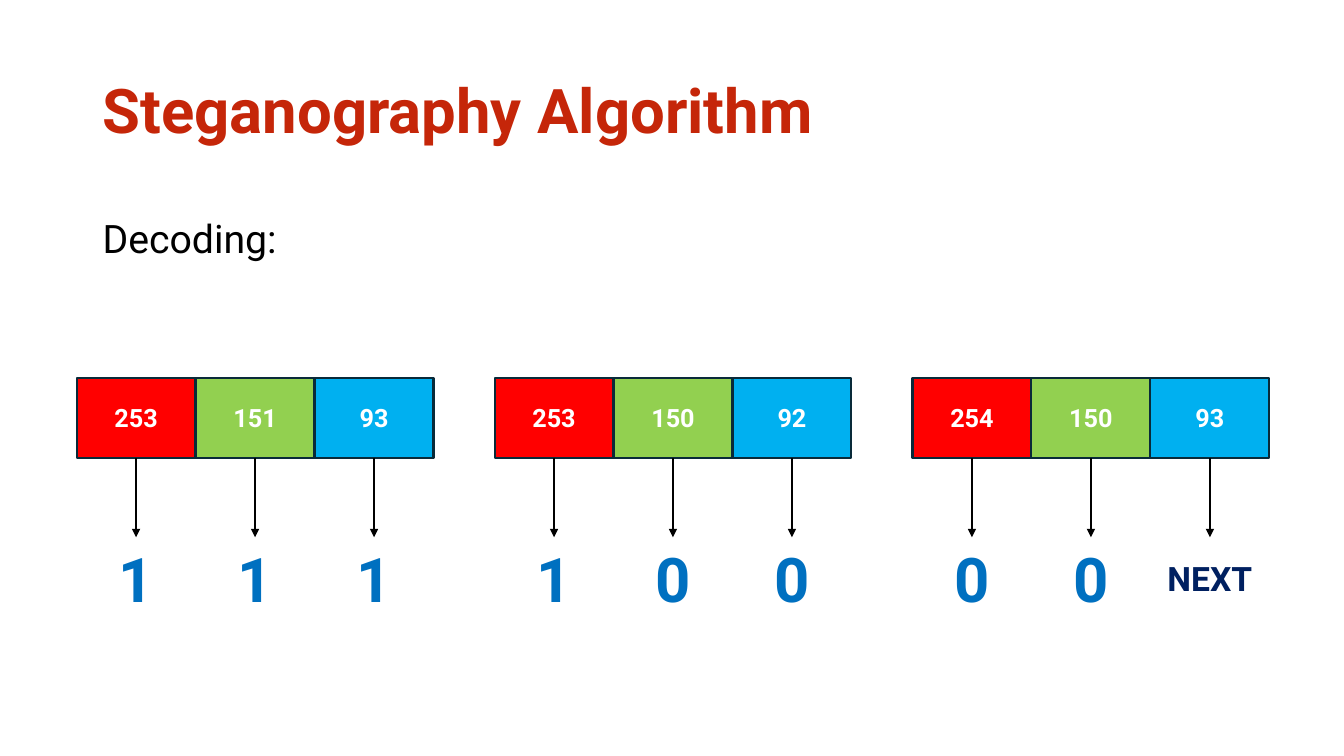
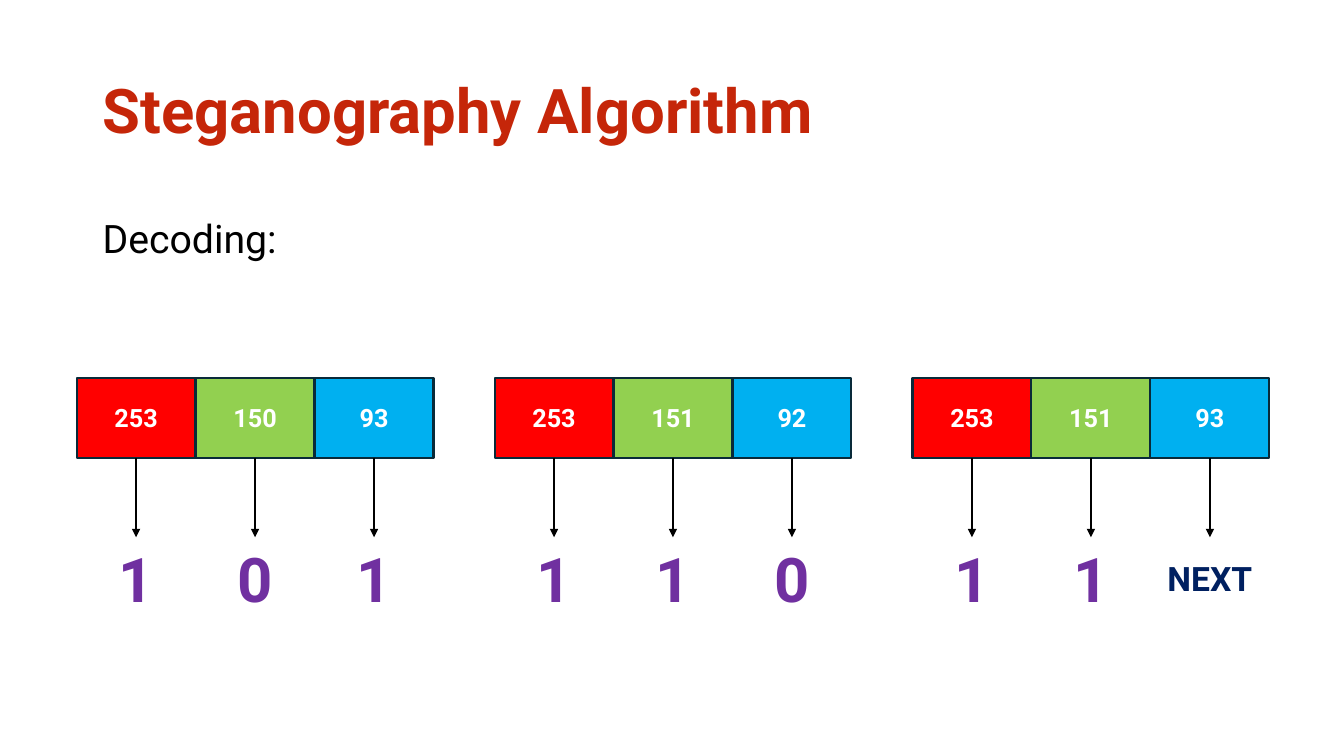
from lxml import etree
from pptx import Presentation
from pptx import util as u
from pptx.dml.color import RGBColor
from pptx.enum import shapes, text
from pptx.oxml.ns import qn

FONT = "Roboto"
COLORS = {
    "title": "C52609", "body": "000000", "arrow": "000000",
    "outline": "092A39", "value": "FFFFFF", "next": "002060",
    "blue": "0070C0", "purple": "7030A0",
}
CHANNELS = ("FF0000", "92D050", "00B0F0")

CELL_W, CELL_H = 1.18, 0.79
CELL_TOP = 3.75
CELL_BOTTOM = CELL_TOP + CELL_H
FIRST_LEFT, LAST_LEFT = 0.76, 9.05
ARROW_LEN = 0.79

# Bit colour and the RGB pixels of each slide
SLIDES = [
    ("blue", [(253, 151, 93), (253, 150, 92), (254, 150, 93)]),
    ("purple", [(253, 150, 93), (253, 151, 92), (253, 151, 93)]),
]


def rgb(name):
    return RGBColor.from_string(COLORS.get(name, name))


def write(sp, content, size, color, bold=True, align=text.PP_ALIGN.CENTER):
    """Fill a shape with one styled paragraph and return the paragraph."""
    p = sp.text_frame.paragraphs[0]
    p.text = content
    p.alignment = align
    p.font.name = FONT
    p.font.size = u.Pt(size)
    p.font.bold = bold
    p.font.color.rgb = rgb(color)
    return p


def add_heading(s, content, box, size, color, bold):
    sp = s.shapes.add_textbox(*map(u.Inches, box))
    tf = sp.text_frame
    tf.word_wrap = True
    tf.vertical_anchor = text.MSO_ANCHOR.MIDDLE
    p = write(sp, content, size, color, bold, text.PP_ALIGN.LEFT)
    p.line_spacing = 0.9


def add_cell(group, left, value, fill):
    sp = group.shapes.add_shape(
        shapes.MSO_SHAPE.RECTANGLE, u.Inches(left), u.Inches(CELL_TOP),
        u.Inches(CELL_W), u.Inches(CELL_H))
    sp.shadow.inherit = False
    sp.fill.solid()
    sp.fill.fore_color.rgb = rgb(fill)
    sp.line.color.rgb = rgb("outline")
    sp.line.width = u.Pt(1.5)
    sp.text_frame.vertical_anchor = text.MSO_ANCHOR.MIDDLE
    write(sp, str(value), 18, "value")


def add_down_arrow(s, x):
    line = s.shapes.add_connector(
        shapes.MSO_CONNECTOR.STRAIGHT, u.Inches(x), u.Inches(CELL_BOTTOM),
        u.Inches(x), u.Inches(CELL_BOTTOM + ARROW_LEN))
    line.line.color.rgb = rgb("arrow")
    line.line.width = u.Pt(1.5)
    etree.SubElement(line.line._get_or_add_ln(), qn("a:tailEnd"), type="triangle")
    etree.SubElement(line._element.spPr, qn("a:effectLst"))


def add_label(s, content, x, top, width, height, size, color):
    """Add a one-line label centred on x."""
    sp = s.shapes.add_textbox(u.Inches(x - width / 2), u.Inches(top),
                              u.Inches(width), u.Inches(height))
    sp.text_frame.word_wrap = False
    sp.text_frame.auto_size = text.MSO_AUTO_SIZE.SHAPE_TO_FIT_TEXT
    write(sp, content, size, color)


def add_pixels(s, pixels, bit_color):
    """Draw the pixels and, below each channel, its lowest bit."""
    step = (LAST_LEFT - FIRST_LEFT) / (len(pixels) - 1)
    channels = []
    for i, pixel in enumerate(pixels):
        group = s.shapes.add_group_shape()
        for j, (value, fill) in enumerate(zip(pixel, CHANNELS)):
            left = FIRST_LEFT + i * step + j * CELL_W
            add_cell(group, left, value, fill)
            channels.append((left + CELL_W / 2, value))

    for x, _ in channels:
        add_down_arrow(s, x)
    for x, value in channels[:-1]:
        add_label(s, str(value % 2), x, 5.32, 0.68, 0.84, 44, bit_color)
    add_label(s, "NEXT", channels[-1][0], 5.49, 1.04, 0.5, 24, "next")


def main():
    prs = Presentation()
    prs.slide_width, prs.slide_height = u.Inches(13.33), u.Inches(7.5)
    for bit_color, pixels in SLIDES:
        s = prs.slides.add_slide(prs.slide_layouts[6])
        add_heading(s, "Steganography Algorithm", (0.92, 0.4, 11.5, 1.45),
                    44, "title", True)
        add_heading(s, "Decoding:", (0.92, 2, 1.95, 0.78), 28, "body", False)
        add_pixels(s, pixels, bit_color)
    prs.save("out.pptx")


if __name__ == "__main__":
    main()
